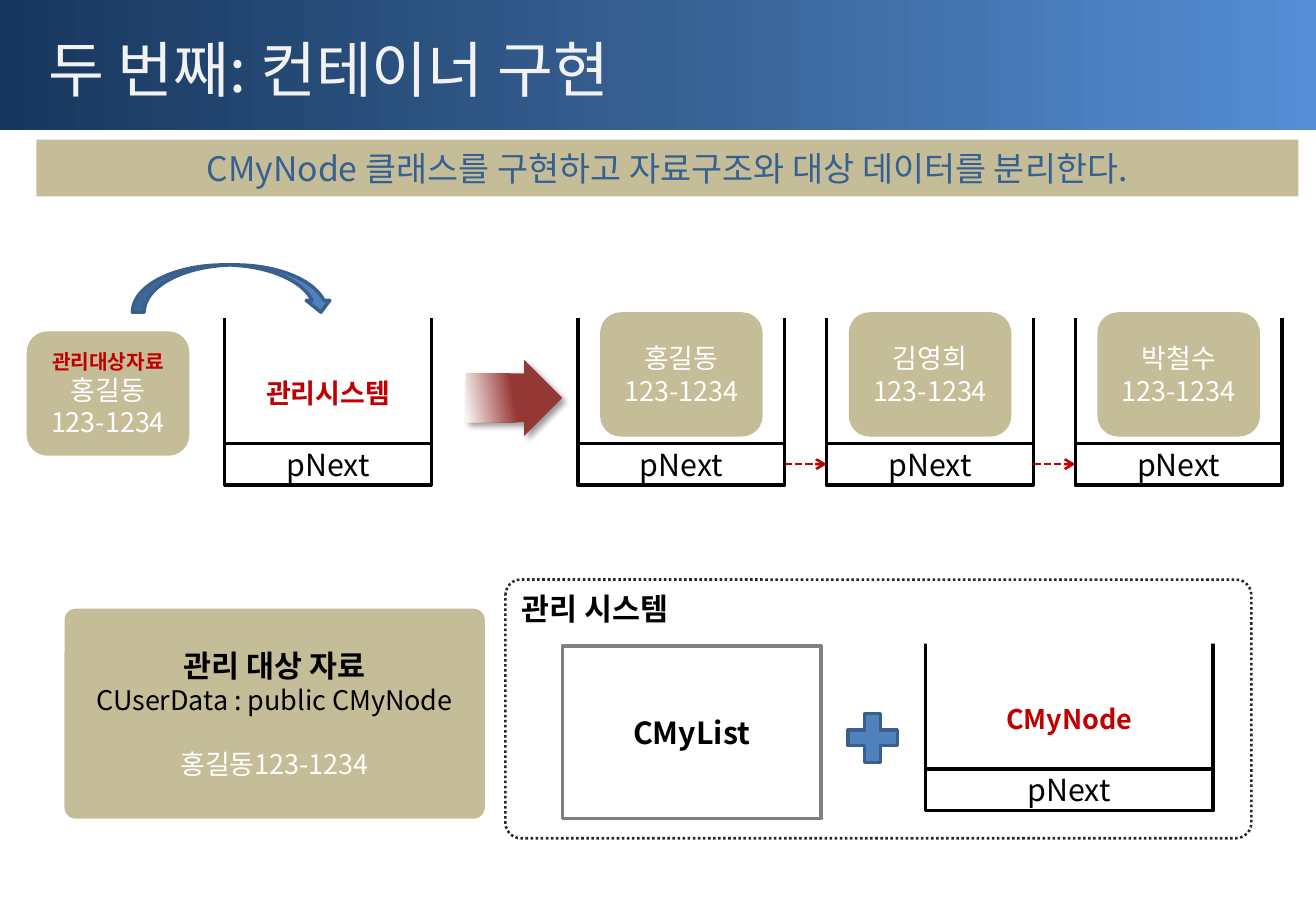
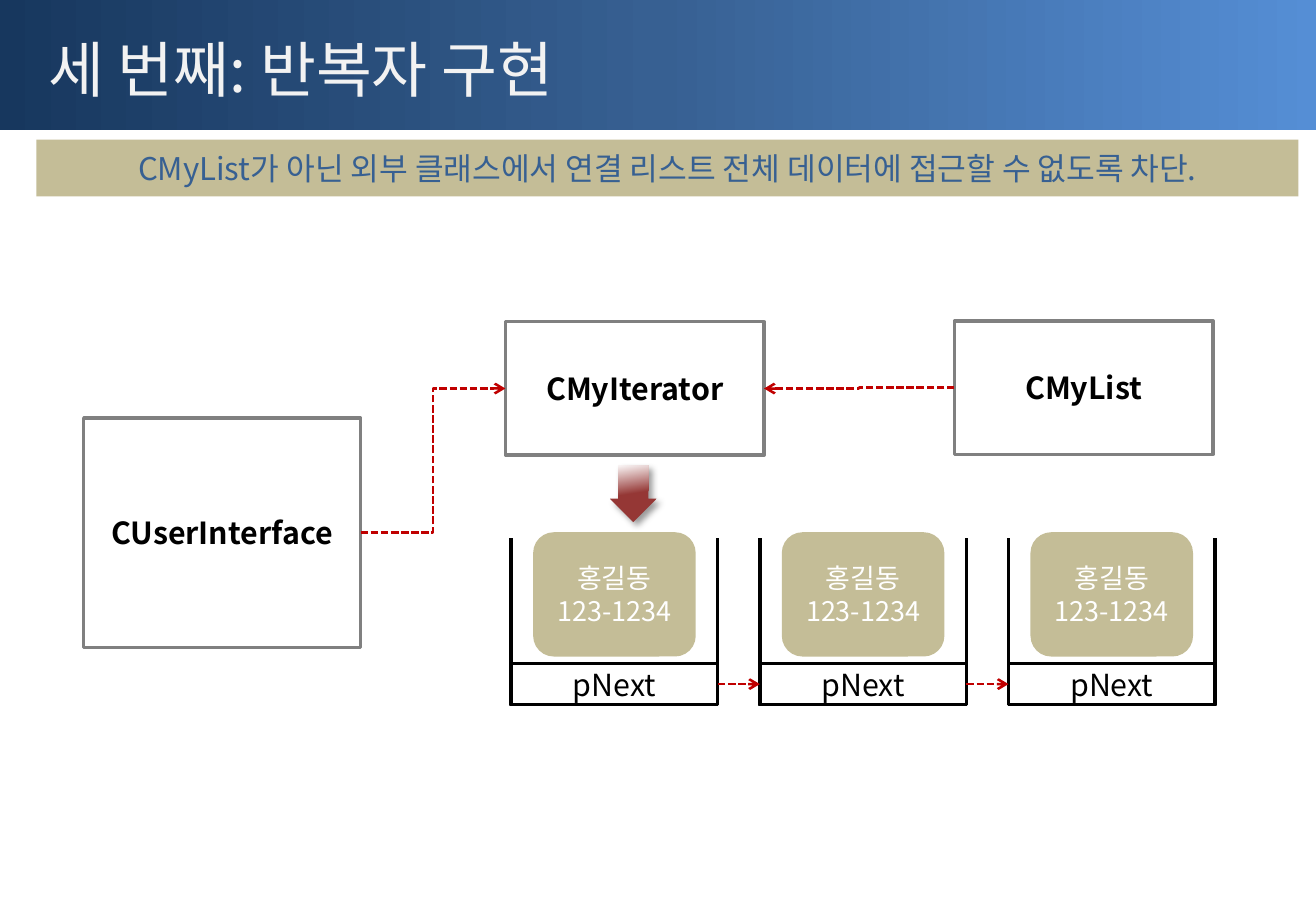
from lxml import etree
from pptx import Presentation
from pptx.dml.color import RGBColor
from pptx.enum import dml, shapes, text
from pptx.oxml.ns import qn
from pptx.util import Cm, Pt

FONT = "Noto Sans CJK KR"
SAND, NAVY, RED = "C4BD97", "376092", "C00000"
BLUE, BLUE_EDGE = "4F81BD", "3A5F8C"
WHITE, BLACK, GREY = "FFFFFF", "000000", "808080"
BAND_STOPS = [(0, "17375E"), (50, NAVY), (100, "558ED5")]
ARROW_STOPS = [(0, "953735"), (50, "953735"), (100, WHITE)]

SLIDE_WIDTH, SLIDE_HEIGHT = 27.52, 19.05
NODE_WIDTH, NODE_HEIGHT, NODE_PITCH = 4.32, 3.84, 5.2
CARD_SIZE = (3.4, 2.6)
CLASS_WIDTH = 5.41

KIND = shapes.MSO_SHAPE
DASH = dml.MSO_LINE


def color(hex_code):
    return RGBColor.from_string(hex_code)


def child(parent, tag, **attributes):
    return etree.SubElement(parent, qn(tag), {k: str(v) for k, v in attributes.items()})


def place(shape, left, top, width, height):
    shape.left, shape.top = Cm(left), Cm(top)
    shape.width, shape.height = Cm(width), Cm(height)


def write(shape, line, size=16, ink=BLACK, bold=False,
          align=text.PP_ALIGN.CENTER, before=None):
    frame = shape.text_frame
    paragraph = frame.add_paragraph() if frame.text else frame.paragraphs[0]
    paragraph.alignment = align
    if before is not None:
        paragraph.space_before = Pt(before)
    run = paragraph.add_run()
    run.text = line
    run.font.size = Pt(size)
    run.font.bold = bold
    run.font.name = FONT
    run.font.color.rgb = color(ink)
    child(run.font._element, "a:ea", typeface=FONT)
    return paragraph


def box(parent, kind, at, fill=None, edge=None, weight=2, dash=None,
        anchor=text.MSO_ANCHOR.MIDDLE, corner=None):
    left, top, width, height = at
    shape = parent.shapes.add_shape(kind, Cm(left), Cm(top), Cm(width), Cm(height))
    shape.shadow.inherit = False
    if fill:
        shape.fill.solid()
        shape.fill.fore_color.rgb = color(fill)
    else:
        shape.fill.background()
    if edge:
        shape.line.color.rgb = color(edge)
        shape.line.width = Pt(weight)
        if dash:
            shape.line.dash_style = dash
    else:
        shape.line.fill.background()
    if corner is not None:
        shape.adjustments[0] = corner
    shape.text_frame.word_wrap = True
    shape.text_frame.vertical_anchor = anchor
    return shape


def gradient(shape, stops, angle):
    shape.fill.gradient()
    shape.fill.gradient_angle = (360 - angle) % 360
    stop_list = shape._element.spPr.find(".//" + qn("a:gsLst"))
    for old_stop in list(stop_list):
        stop_list.remove(old_stop)
    for position, hex_code in stops:
        stop = child(stop_list, "a:gs", pos=position * 1000)
        child(stop, "a:srgbClr", val=hex_code)


def red_arrow(slide, at, rotation=0):
    arrow = box(slide, KIND.LEFT_ARROW, at)
    arrow.adjustments[0], arrow.adjustments[1] = 0.637, 0.5
    arrow.rotation = rotation
    properties = arrow._element.spPr
    properties.find(qn("a:xfrm")).set("flipH", "1")
    gradient(arrow, ARROW_STOPS, 9)
    shadow = child(properties.find(qn("a:effectLst")), "a:outerShdw",
                   blurRad=Pt(4), dist=Pt(3), dir=45 * 60000,
                   algn="tl", rotWithShape=0)
    child(child(shadow, "a:srgbClr", val=BLACK), "a:alpha", val=40000)


def node(slide, left, top, width=NODE_WIDTH, label=None):
    group = slide.shapes.add_group_shape()
    holder = box(group, KIND.RECTANGLE, (left, top, width, NODE_HEIGHT), WHITE, BLACK)
    if label:
        write(holder, label, ink=RED, bold=True)
    overhang = 0.032 * width
    box(group, KIND.RECTANGLE,
        (left - overhang, top - 0.18, width + 2 * overhang, 0.53), WHITE)
    pointer = box(group, KIND.RECTANGLE, (left, top + 2.97, width, 0.87), WHITE, BLACK)
    write(pointer, "pNext", size=18)
    return pointer


def card(slide, left, top, name, heading=None):
    person = box(slide, KIND.ROUNDED_RECTANGLE, (left, top, *CARD_SIZE), SAND)
    if heading:
        write(person, heading, size=12, ink=RED, bold=True)
    for line in (name, "123-1234"):
        write(person, line, ink=WHITE)


def class_box(slide, at, name):
    shape = box(slide, KIND.RECTANGLE, at, edge=GREY)
    write(shape, name, size=18, bold=True)
    return shape


def link(slide, source, source_site, target, target_site,
         kind=shapes.MSO_CONNECTOR.STRAIGHT):
    connector = slide.shapes.add_connector(kind, 0, 0, 0, 0)
    connector.begin_connect(source, source_site)
    connector.end_connect(target, target_site)
    connector.line.color.rgb = color(RED)
    connector.line.width = Pt(1.5)
    connector.line.dash_style = DASH.SQUARE_DOT
    child(connector.line._get_or_add_ln(), "a:tailEnd", type="arrow")
    child(connector._element.spPr, "a:effectLst")


def linked_list(slide, left, top, names):
    pointers = []
    for index, name in enumerate(names):
        x = left + index * NODE_PITCH
        pointers.append(node(slide, x, top))
        card(slide, x + 0.46, top + 0.23, name)
    for current, following in zip(pointers, pointers[1:]):
        link(slide, current, 3, following, 1)


def add_band(slide):
    band = box(slide, KIND.RECTANGLE, (0, 0, SLIDE_WIDTH, 2.72))
    gradient(band, BAND_STOPS, 0)
    slide.slide_layout.shapes.element.insert(2, band._element)


def headed_slide(deck, heading, message, message_size):
    slide = deck.slides.add_slide(deck.slide_layouts[1])
    title, body = slide.placeholders
    place(title, 0.76, 0.33, 26.39, 2.21)
    place(body, 0.76, 2.92, 26.39, 1.19)
    for holder in (title, body):
        holder.text_frame.auto_size = text.MSO_AUTO_SIZE.NONE
        holder.text_frame.vertical_anchor = text.MSO_ANCHOR.MIDDLE
    write(title, heading, size=36, ink="F2F2F2", align=text.PP_ALIGN.LEFT)
    body.fill.solid()
    body.fill.fore_color.rgb = color(SAND)
    paragraph = write(body, message, size=message_size, ink=NAVY)
    properties = paragraph._p.get_or_add_pPr()
    properties.set("marL", str(Cm(0.97)))
    properties.set("indent", str(-Cm(0.97)))
    child(properties, "a:buNone")
    return slide


def container_slide(deck):
    slide = headed_slide(deck, "두 번째: 컨테이너 구현",
                         "CMyNode 클래스를 구현하고 자료구조와 대상 데이터를 분리한다.", 20)
    add_band(slide)
    node(slide, 4.7, 6.3, label="관리시스템")
    card(slide, 0.56, 6.93, "홍길동", heading="관리대상자료")
    red_arrow(slide, (9.75, 7.52, 2.01, 1.6))
    box(slide, KIND.CURVED_DOWN_ARROW, (2.77, 5.54, 4.19, 0.99), BLUE, BLUE_EDGE)
    linked_list(slide, 12.09, 6.3, ["홍길동", "김영희", "박철수"])

    system = box(slide, KIND.ROUNDED_RECTANGLE, (10.57, 12.12, 15.6, 5.41),
                 edge="262626", weight=1.5, dash=DASH.ROUND_DOT,
                 anchor=text.MSO_ANCHOR.TOP, corner=0.06)
    write(system, "관리 시스템", size=18, bold=True, align=text.PP_ALIGN.LEFT)
    node(slide, 19.35, 13.11, width=6.02, label="CMyNode")
    user_data = box(slide, KIND.ROUNDED_RECTANGLE, (1.35, 12.73, 8.79, 4.39),
                    SAND, corner=0.053)
    write(user_data, "관리 대상 자료", size=18, bold=True)
    write(user_data, "CUserData : public CMyNode")
    write(user_data, "홍길동123-1234", ink=WHITE, before=19)
    box(slide, KIND.MATH_PLUS, (17.55, 14.73, 1.4, 1.4), BLUE, BLUE_EDGE)
    class_box(slide, (11.76, 13.51, CLASS_WIDTH, 3.61), "CMyList")


def iterator_slide(deck):
    slide = headed_slide(
        deck, "세 번째: 반복자 구현",
        "CMyList가 아닌 외부 클래스에서 연결 리스트 전체 데이터에 접근할 수 없도록 차단.", 18.5)
    linked_list(slide, 10.69, 10.9, ["홍길동"] * 3)
    interface = class_box(slide, (1.75, 8.74, 5.79, 4.8), "CUserInterface")
    red_arrow(slide, (12.65, 9.83, 1.19, 0.99), rotation=90)
    iterator = class_box(slide, (10.57, 6.73, CLASS_WIDTH, 2.79), "CMyIterator")
    my_list = class_box(slide, (19.96, 6.71, CLASS_WIDTH, 2.79), "CMyList")
    link(slide, interface, 3, iterator, 1, shapes.MSO_CONNECTOR.ELBOW)
    link(slide, my_list, 1, iterator, 3, shapes.MSO_CONNECTOR.ELBOW)


def main():
    deck = Presentation()
    deck.slide_width, deck.slide_height = Cm(SLIDE_WIDTH), Cm(SLIDE_HEIGHT)
    container_slide(deck)
    iterator_slide(deck)
    deck.save("out.pptx")


main()
